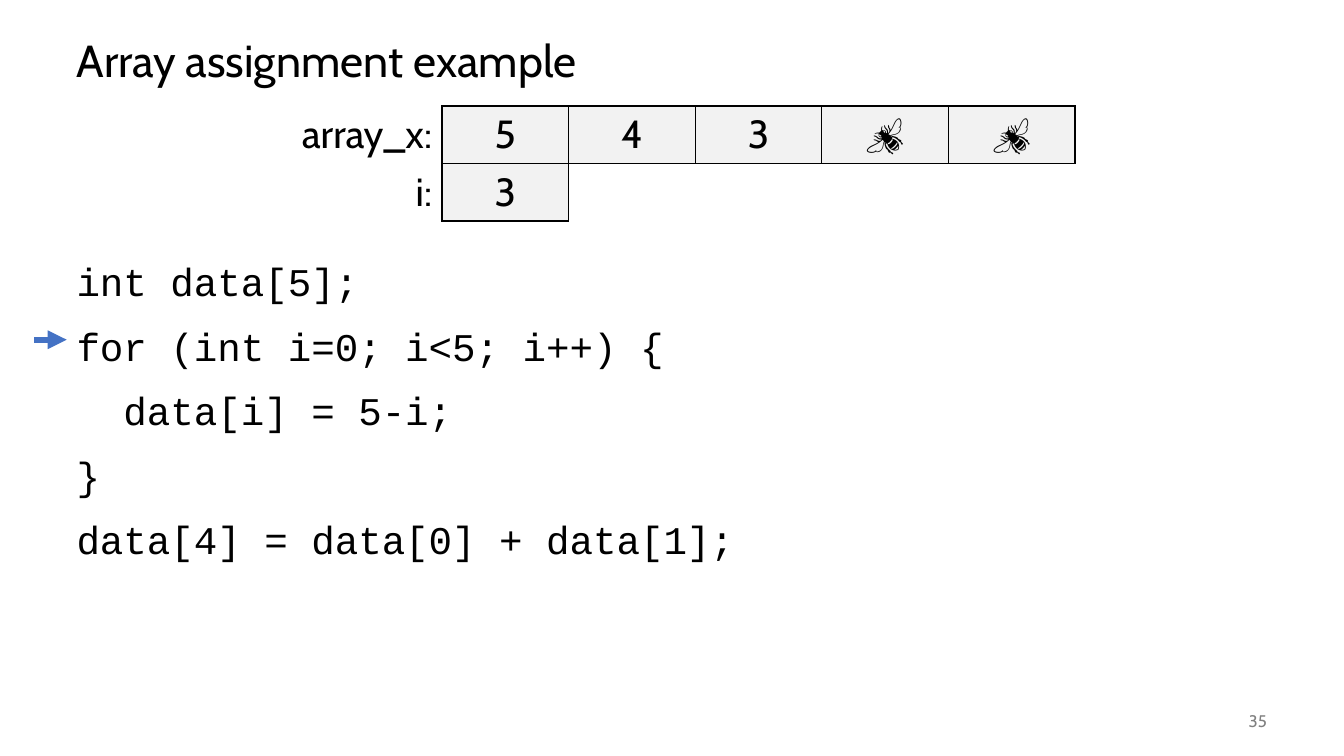
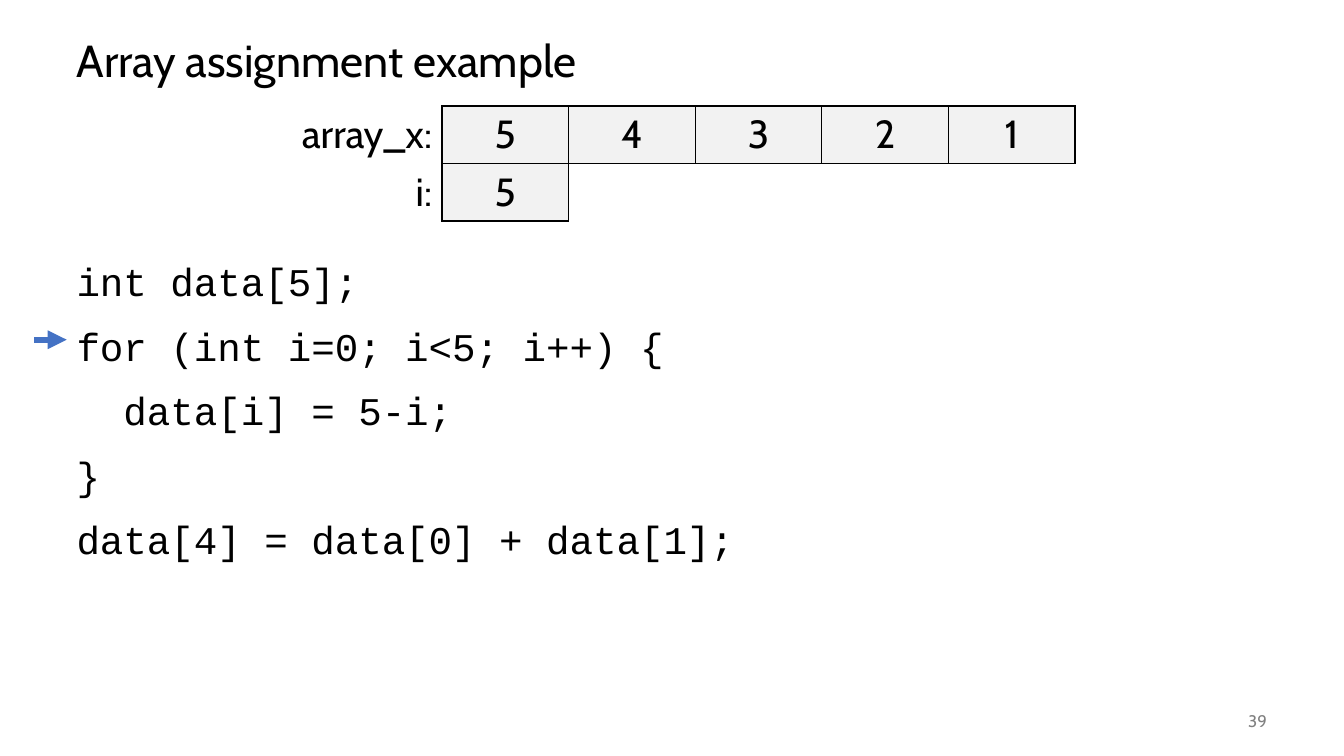
"""Build two slides that step through filling an array in a loop."""
from lxml import etree
from pptx import Presentation
from pptx.dml.color import RGBColor
from pptx.enum.shapes import MSO_CONNECTOR
from pptx.enum.text import MSO_ANCHOR, PP_ALIGN
from pptx.oxml.ns import qn
from pptx.util import Cm, Pt

BLACK = RGBColor(0x00, 0x00, 0x00)
GRAY = RGBColor(0x80, 0x80, 0x80)
PALE = RGBColor(0xF2, 0xF2, 0xF2)
BLUE = RGBColor(0x44, 0x72, 0xC4)
STRAIGHT = MSO_CONNECTOR.STRAIGHT
MIDDLE, TOP = MSO_ANCHOR.MIDDLE, MSO_ANCHOR.TOP
LEFT, CENTER, RIGHT = PP_ALIGN.LEFT, PP_ALIGN.CENTER, PP_ALIGN.RIGHT

CODE = [
    "int data[5];",
    "for (int i=0; i<5; i++) {",
    "  data[i] = 5-i;",
    "}",
    "data[4] = data[0] + data[1];",
]
STEPS = [
    ("35", ["5", "4", "3", "🐝", "🐝"], "3"),
    ("39", ["5", "4", "3", "2", "1"], "5"),
]


class Slides:
    STYLES = {
        "title": {"name": "Cabin", "size": Pt(32), "color": BLACK},
        "cell": {"name": "Cabin", "size": Pt(28), "color": BLACK},
        "code": {"name": "Courier New", "size": Pt(28), "color": BLACK},
        "number": {"name": "Cabin", "size": Pt(12), "color": GRAY},
    }
    EDGES = {"a:lnL": (0, -1), "a:lnR": (0, 1), "a:lnT": (-1, 0), "a:lnB": (1, 0)}

    def __init__(self):
        self.deck = Presentation()
        self.deck.slide_width, self.deck.slide_height = Cm(33.87), Cm(19.05)
        self.page = None

    def add_page(self):
        self.page = self.deck.slides.add_slide(self.deck.slide_layouts[6])

    def add_span(self, para, text, style, align):
        para.alignment = align
        span = para.add_run()
        span.text = text
        for key, value in self.STYLES[style].items():
            if key == "color":
                span.font.color.rgb = value
            else:
                setattr(span.font, key, value)

    def text(self, place, lines, style, align=LEFT, anchor=MIDDLE, leading=0.9, gap=0):
        box = self.page.shapes.add_textbox(*map(Cm, place))
        frame = box.text_frame
        frame.word_wrap = True
        frame.vertical_anchor = anchor
        for index, line in enumerate(lines):
            para = frame.add_paragraph() if index else frame.paragraphs[0]
            para.line_spacing = leading
            para.space_before = Pt(gap if index else 0)
            self.add_span(para, line, style, align)

    def border(self, cell, edge, visible):
        line = etree.SubElement(cell._tc.get_or_add_tcPr(), qn(edge), w=str(Pt(1)))
        if visible:
            fill = etree.SubElement(line, qn("a:solidFill"))
            etree.SubElement(fill, qn("a:srgbClr"), val=str(BLACK))
        else:
            etree.SubElement(line, qn("a:noFill"))

    def memory(self, left, top, label_width, cell_width, height, variables):
        columns = 1 + max(len(values) for _, values in variables)
        width = label_width + cell_width * (columns - 1)
        place = map(Cm, (left, top, width, height * len(variables)))
        table = self.page.shapes.add_table(len(variables), columns, *place).table
        table.first_row = table.horz_banding = False
        for column in range(columns):
            table.columns[column].width = Cm(cell_width if column else label_width)
        boxed = {(row, column) for row, (_, values) in enumerate(variables)
                 for column in range(1, len(values) + 1)}
        for row, (label, values) in enumerate(variables):
            table.rows[row].height = Cm(height)
            for column in range(columns):
                cell = table.cell(row, column)
                for edge, (down, across) in self.EDGES.items():
                    sides = {(row, column), (row + down, column + across)}
                    self.border(cell, edge, bool(sides & boxed))
                if (row, column) in boxed:
                    cell.fill.solid()
                    cell.fill.fore_color.rgb = PALE
                else:
                    cell.fill.background()
            for column, text in enumerate([label, *values]):
                para = table.cell(row, column).text_frame.paragraphs[0]
                self.add_span(para, text, "cell", CENTER if column else RIGHT)

    def arrow(self, left, right, level):
        ends = map(Cm, (left, level, right, level))
        pointer = self.page.shapes.add_connector(STRAIGHT, *ends)
        pointer.line.color.rgb = BLUE
        pointer.line.width = Pt(4.5)
        outline = pointer._element.spPr.find(qn("a:ln"))
        etree.SubElement(outline, qn("a:tailEnd"), type="triangle")
        etree.SubElement(pointer._element.spPr, qn("a:effectLst"))


def main():
    slides = Slides()
    for number, values, counter in STEPS:
        slides.add_page()
        slides.text((1.68, 0.64, 30.48, 1.9), ["Array assignment example"], "title")
        slides.text((1.68, 6.5, 30.48, 8), CODE, "code", anchor=TOP, gap=15.8)
        slides.text((29.64, 17.65, 2.54, 1.02), [number], "number", RIGHT, leading=1.0)
        slides.memory(6.92, 2.67, 4.22, 3.19, 1.45,
                      [("array_x:", values), ("i:", [counter])])
        slides.arrow(0.86, 1.68, 8.56)
    slides.deck.save("out.pptx")


if __name__ == "__main__":
    main()
